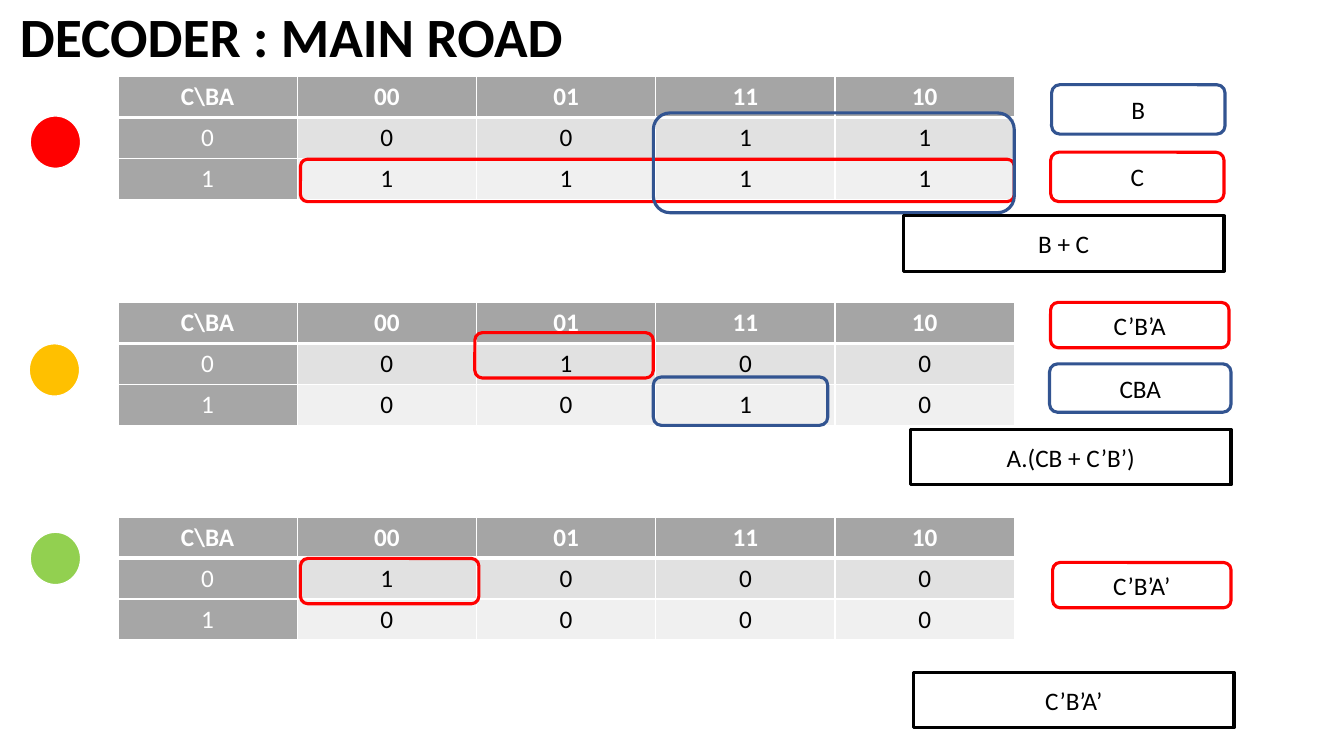
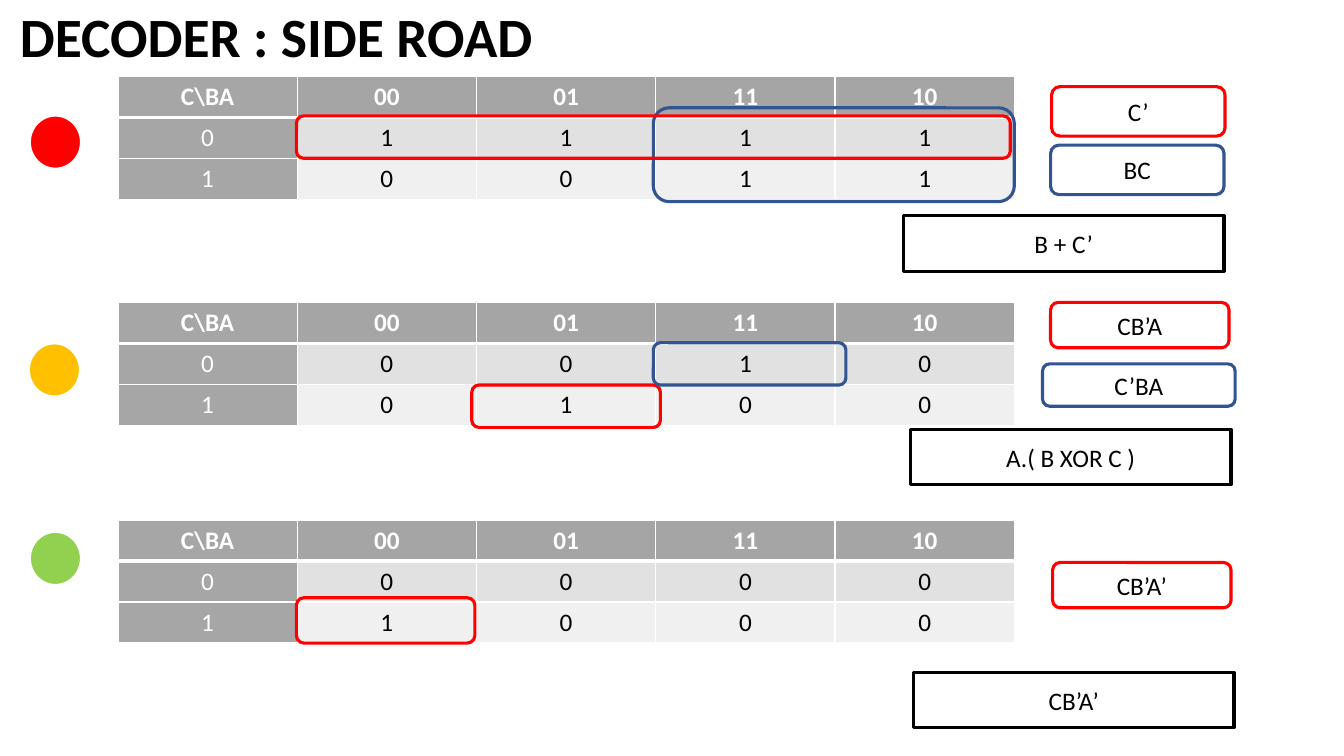
"""Build the two Karnaugh-map slides for the traffic light decoder."""
from dataclasses import dataclass

from lxml import etree
from pptx import Presentation
from pptx.dml.color import RGBColor
from pptx.enum.shapes import MSO_SHAPE
from pptx.enum.text import MSO_ANCHOR, PP_ALIGN
from pptx.oxml.ns import qn
from pptx.util import Pt

PX = 9144
OVAL, RECT, ROUNDED = MSO_SHAPE.OVAL, MSO_SHAPE.RECTANGLE, MSO_SHAPE.ROUNDED_RECTANGLE
CENTER, LEFT, MIDDLE = PP_ALIGN.CENTER, PP_ALIGN.LEFT, MSO_ANCHOR.MIDDLE


@dataclass(frozen=True)
class Theme:
    """Colours, type sizes and line widths shared by the slides."""
    font: str = "Calibri"
    title_size: float = 39.6
    body_size: float = 18
    black: str = "000000"
    white: str = "FFFFFF"
    red: str = "FF0000"
    blue: str = "325491"
    amber: str = "FFC000"
    green: str = "92D050"
    label_gray: str = "A6A6A6"
    header_gray: str = "A5A5A5"
    bands: tuple = ("E1E1E1", "F0F0F0")
    outline: float = 2.25
    rule: float = 1
    header_rule: float = 3


THEME = Theme()
COLUMN_CODES = ("C\\BA", "00", "01", "11", "10")
MAP_LEFT, MAP_WIDTH, MAP_HEIGHT = 117, 889, 122

LAMPS = (
    (30, 115, THEME.red),
    (29, 341, THEME.amber),
    (30, 528, THEME.green),
)
RESULT_CORNERS = ((896, 214), (903, 426), (906, 667))

ROADS = (
    {
        "title": "DECODER : MAIN ROAD",
        "maps": ((76, "0011", "1111"), (300, "0100", "0010"), (513, "1000", "0000")),
        "loops": (
            (298, 158, 708, 42, THEME.red),
            (471, 330, 177, 45, THEME.red),
            (648, 374, 173, 48, THEME.blue),
            (298, 554, 177, 45, THEME.red),
            (648, 112, 358, 99, THEME.blue),
        ),
        "terms": (
            (1043, 84, 172, 49, THEME.blue, "B"),
            (1042, 151, 172, 49, THEME.red, "C"),
            (1042, 300, 177, 45, THEME.red, "C’B’A"),
            (1041, 361, 180, 48, THEME.blue, "CBA"),
            (1044, 558, 177, 45, THEME.red, "C’B’A’"),
        ),
        "results": ("B + C", "A.(CB + C’B’)", "C’B’A’"),
    },
    {
        "title": "DECODER : SIDE ROAD",
        "maps": ((76, "1111", "0011"), (300, "0010", "0100"), (516, "0000", "1000")),
        "loops": (
            (648, 107, 358, 93, THEME.blue),
            (294, 115, 708, 42, THEME.red),
            (294, 593, 177, 45, THEME.red),
            (468, 382, 187, 42, THEME.red),
            (648, 340, 191, 42, THEME.blue),
        ),
        "terms": (
            (1042, 144, 172, 49, THEME.blue, "BC"),
            (1043, 86, 172, 49, THEME.red, "C’"),
            (1042, 300, 177, 45, THEME.red, "CB’A"),
            (1034, 361, 191, 42, THEME.blue, "C’BA"),
            (1044, 558, 177, 45, THEME.red, "CB’A’"),
        ),
        "results": ("B + C’", "A.( B XOR C )", "CB’A’"),
    },
)


class Deck:
    """Draw styled elements on the current slide."""

    def __init__(self, theme):
        self.theme = theme
        self.deck = Presentation()
        self.deck.slide_width, self.deck.slide_height = 1333 * PX, 750 * PX
        self.slide = None

    def set_text(self, frame, text, color, size, bold=False, align=CENTER):
        paragraph = frame.paragraphs[0]
        paragraph.text = text
        paragraph.alignment = align
        font = paragraph.font
        font.name, font.size, font.bold = self.theme.font, Pt(size), bold
        font.color.rgb = RGBColor.from_string(color)
        return paragraph

    def add_slide(self, title):
        self.slide = self.deck.slides.add_slide(self.deck.slide_layouts[6])
        heading = self.slide.shapes.add_textbox(10 * PX, 11 * PX, 1150 * PX, 56 * PX)
        frame = heading.text_frame
        frame.word_wrap = True
        frame.vertical_anchor = MIDDLE
        paragraph = self.set_text(
            frame, title, self.theme.black, self.theme.title_size, True, LEFT)
        paragraph.line_spacing = 0.9

    def shape(self, kind, left, top, width, height, line, weight, fill=None):
        shape = self.slide.shapes.add_shape(
            kind, left * PX, top * PX, width * PX, height * PX)
        shape.shadow.inherit = False
        shape.line.color.rgb = RGBColor.from_string(line)
        shape.line.width = Pt(weight)
        if fill:
            shape.fill.solid()
            shape.fill.fore_color.rgb = RGBColor.from_string(fill)
        else:
            shape.fill.background()
        return shape

    def lamp(self, left, top, color):
        self.shape(OVAL, left, top, 50, 52, self.theme.white, self.theme.rule, color)

    def loop(self, left, top, width, height, color):
        return self.shape(ROUNDED, left, top, width, height, color, self.theme.outline)

    def label(self, shape, text):
        shape.text_frame.vertical_anchor = MIDDLE
        self.set_text(shape.text_frame, text, self.theme.black, self.theme.body_size)

    def term(self, left, top, width, height, color, text):
        self.label(self.loop(left, top, width, height, color), text)

    def result(self, left, top, text):
        self.label(self.shape(
            RECT, left, top, 318, 55, self.theme.black, self.theme.outline), text)

    def borders(self, cell, row):
        properties = cell._tc.get_or_add_tcPr()
        thick_side = {0: "lnB", 1: "lnT"}.get(row)
        for side in ("lnL", "lnR", "lnT", "lnB"):
            weight = self.theme.header_rule if side == thick_side else self.theme.rule
            line = etree.SubElement(properties, qn(f"a:{side}"), w=str(Pt(weight)))
            fill = etree.SubElement(line, qn("a:solidFill"))
            etree.SubElement(fill, qn("a:srgbClr"), val=self.theme.white)

    def karnaugh_map(self, top, *value_rows):
        rows = (COLUMN_CODES, *((str(c), *values) for c, values in enumerate(value_rows)))
        table = self.slide.shapes.add_table(
            len(rows), len(COLUMN_CODES), MAP_LEFT * PX, top * PX,
            MAP_WIDTH * PX, MAP_HEIGHT * PX).table
        for row, texts in enumerate(rows):
            for column, text in enumerate(texts):
                cell = table.cell(row, column)
                self.borders(cell, row)
                if column == 0:
                    fill = self.theme.label_gray
                elif row == 0:
                    fill = self.theme.header_gray
                else:
                    fill = self.theme.bands[row - 1]
                cell.fill.solid()
                cell.fill.fore_color.rgb = RGBColor.from_string(fill)
                is_label = row == 0 or column == 0
                color = self.theme.white if is_label else self.theme.black
                self.set_text(
                    cell.text_frame, text, color, self.theme.body_size, row == 0)

    def save(self):
        self.deck.save("out.pptx")


def main():
    deck = Deck(THEME)
    for road in ROADS:
        deck.add_slide(road["title"])
        for truth_map in road["maps"]:
            deck.karnaugh_map(*truth_map)
        for lamp in LAMPS:
            deck.lamp(*lamp)
        for loop in road["loops"]:
            deck.loop(*loop)
        for term in road["terms"]:
            deck.term(*term)
        for corner, text in zip(RESULT_CORNERS, road["results"]):
            deck.result(*corner, text)
    deck.save()


if __name__ == "__main__":
    main()
